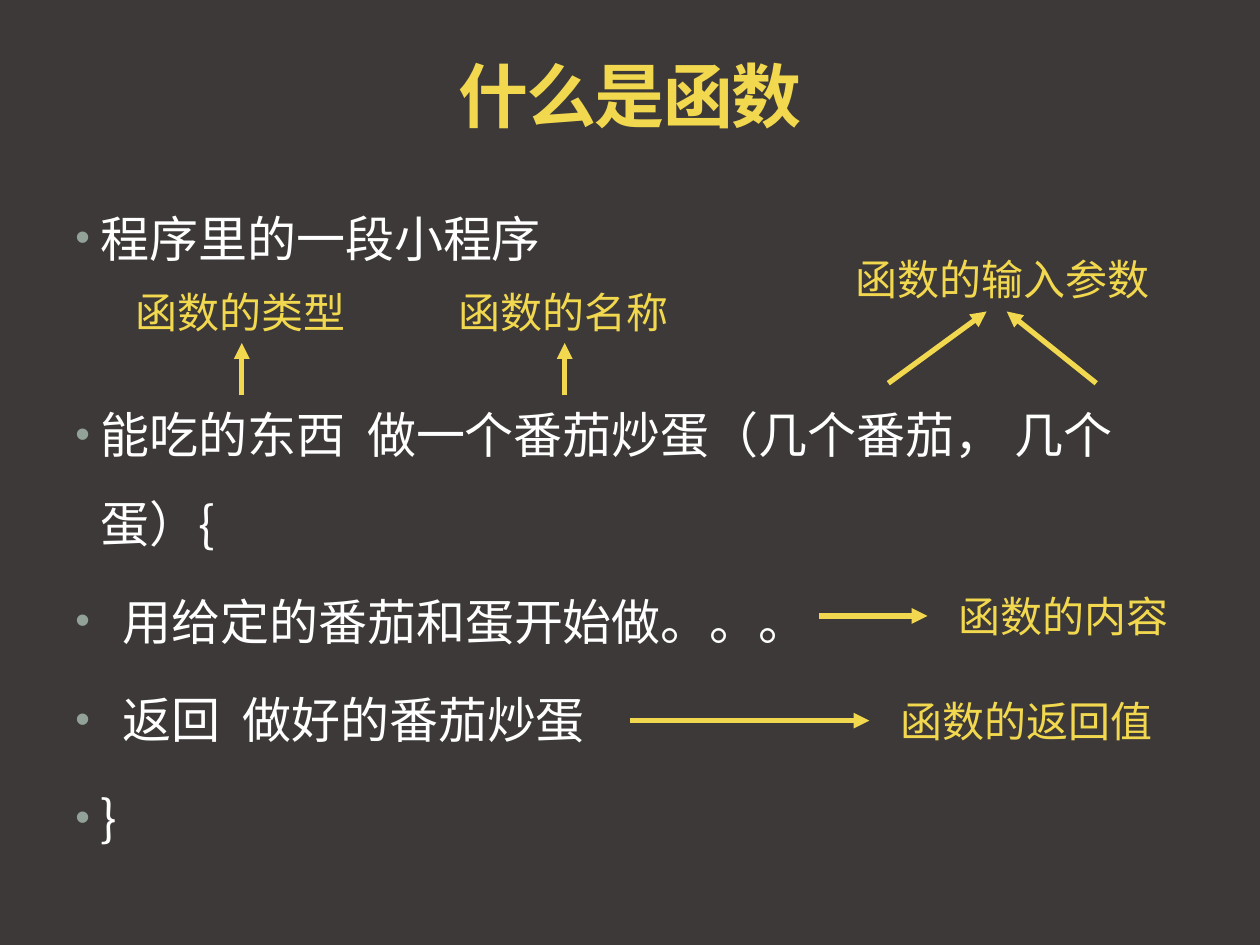
from lxml.etree import SubElement
from pptx import Presentation
from pptx.dml.color import RGBColor
from pptx.enum.shapes import MSO_CONNECTOR as CONN
from pptx.enum.text import MSO_ANCHOR as ANCHOR, PP_ALIGN as ALIGN
from pptx.oxml.ns import qn
from pptx.util import Pt

BACKGROUND = RGBColor(0x3D, 0x39, 0x38)
YELLOW = RGBColor(0xF2, 0xD8, 0x4E)
WHITE = RGBColor(0xFF, 0xFF, 0xFF)
BULLET_GREY = RGBColor(0x93, 0xA2, 0x99)
FONT = "Noto Sans CJK SC"

LABEL_HEIGHT = 36
SPACE_BEFORE = 5.6
ANNOTATION_GAP = 62  # room for the labels above the function header

# text, indent, space before
BODY_LINES = [
    ("程序里的一段小程序", 14.4, SPACE_BEFORE),
    ("能吃的东西  做一个番茄炒蛋（几个番茄， 几个蛋）{", 14.4, ANNOTATION_GAP),
    ("用给定的番茄和蛋开始做。。。", 27, SPACE_BEFORE),
    ("返回  做好的番茄炒蛋", 27, SPACE_BEFORE),
    ("}", 14.4, SPACE_BEFORE),
]

# text, left, top, width
LABELS = [
    ("函数的类型", 70.5, 160, 136),
    ("函数的名称", 255, 160, 136),
    ("函数的输入参数", 481.7, 141.3, 187),
    ("函数的内容", 540.7, 334, 143),
    ("函数的返回值", 507.6, 393.8, 187),
]

# start x, start y, end x, end y
ARROWS = [
    (138.2, 226, 138.2, 196),
    (322.7, 226, 322.7, 196),
    (507.6, 219, 563.8, 178),
    (626.4, 219, 575.3, 178),
    (468, 352, 530, 352),
    (360, 411.8, 496.8, 411.8),
]


def add_textbox(s, left, top, width, height):
    tf = s.shapes.add_textbox(Pt(left), Pt(top), Pt(width), Pt(height)).text_frame
    tf.word_wrap = True
    return tf


def set_text(p, text, size, color, bold=False):
    p.text = text
    for r in p.runs:
        r.font.size = Pt(size)
        r.font.bold = bold
        r.font.color.rgb = color
        r.font.name = FONT
        SubElement(r.font._element, qn("a:ea"), typeface=FONT)


def set_bullet(p, indent):
    pPr = p._p.get_or_add_pPr()
    pPr.set("marL", str(Pt(indent)))
    pPr.set("indent", str(-Pt(indent)))
    color = SubElement(pPr, qn("a:buClr"))
    SubElement(color, qn("a:srgbClr"), val=str(BULLET_GREY))
    SubElement(pPr, qn("a:buSzPct"), val="85000")
    SubElement(pPr, qn("a:buFont"), typeface="Arial")
    SubElement(pPr, qn("a:buChar"), char="•")


def add_title(s, text):
    tf = add_textbox(s, 36, 15, 648, 78)
    tf.vertical_anchor = ANCHOR.MIDDLE
    p = tf.paragraphs[0]
    set_text(p, text, 40, YELLOW, bold=True)
    p.alignment = ALIGN.CENTER
    p.runs[0].font._element.set("spc", "-100")


def add_body(s, lines):
    tf = add_textbox(s, 36, 98.6, 648, 398)
    for i, (text, indent, before) in enumerate(lines):
        p = tf.add_paragraph() if i else tf.paragraphs[0]
        set_text(p, text, 28, WHITE)
        p.line_spacing = 1.5
        p.space_before = Pt(before)
        set_bullet(p, indent)


def add_label(s, text, left, top, width):
    tf = add_textbox(s, left, top, width, LABEL_HEIGHT)
    set_text(tf.paragraphs[0], text, 24, YELLOW)


def add_arrow(s, *ends):
    line = s.shapes.add_connector(CONN.STRAIGHT, *map(Pt, ends))
    line.line.color.rgb = YELLOW
    line.line.width = Pt(3)
    SubElement(line.line._get_or_add_ln(), qn("a:tailEnd"), type="triangle")
    SubElement(line._element.spPr, qn("a:effectLst"))


def main():
    prs = Presentation()
    prs.slide_width, prs.slide_height = Pt(720), Pt(540)
    s = prs.slides.add_slide(prs.slide_layouts[6])
    s.background.fill.solid()
    s.background.fill.fore_color.rgb = BACKGROUND
    add_title(s, "什么是函数")
    add_body(s, BODY_LINES)
    for arrow in ARROWS:
        add_arrow(s, *arrow)
    for label in LABELS:
        add_label(s, *label)
    prs.save("out.pptx")


if __name__ == "__main__":
    main()
